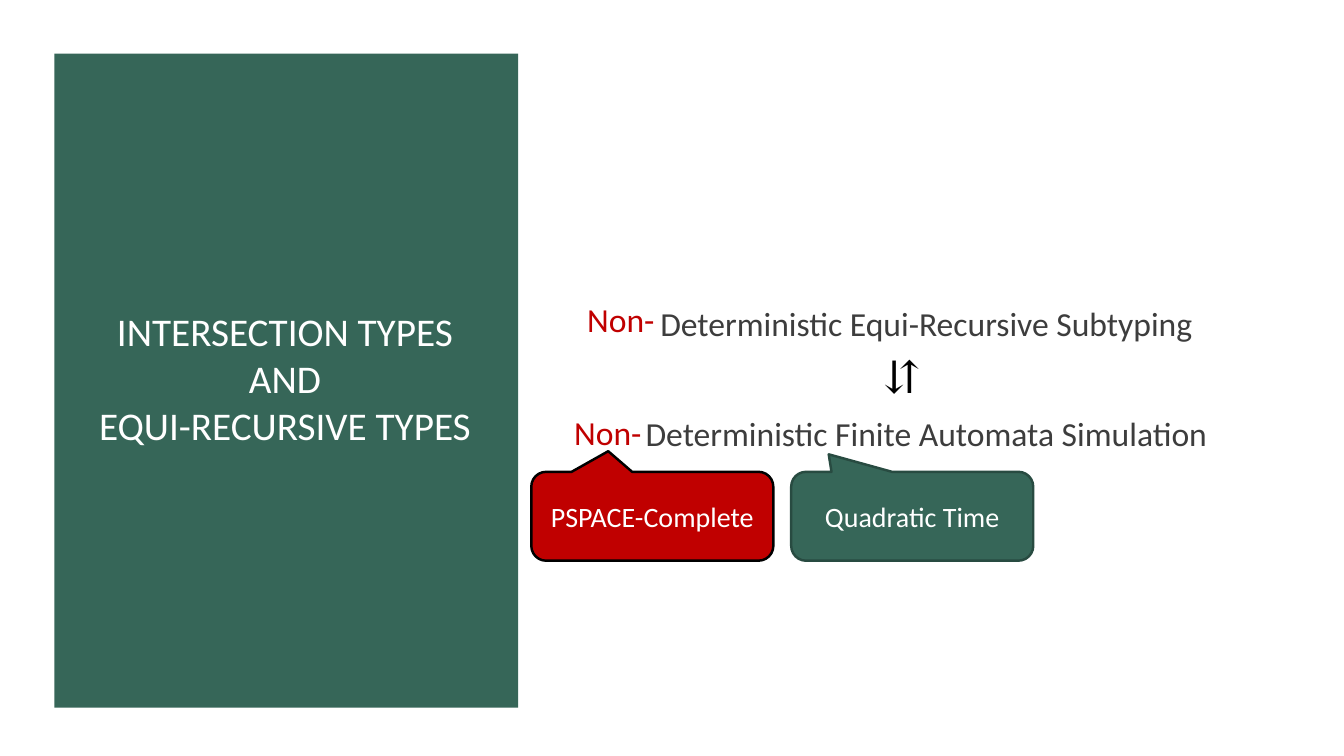
from dataclasses import dataclass

from pptx import Presentation
from pptx.dml.color import RGBColor
from pptx.enum.shapes import MSO_SHAPE
from pptx.enum.text import MSO_ANCHOR, PP_ALIGN
from pptx.util import Cm, Pt


@dataclass(frozen=True)
class Theme:
    font: str = "Calibri"
    symbol_font: str = "Cambria"
    green: str = "366658"
    dark_green: str = "284B41"
    red: str = "C00000"
    black: str = "000000"
    white: str = "FFFFFF"
    text: str = "3D3D3D"
    title_size: int = 28
    body_size: int = 24
    callout_size: int = 20
    symbol_size: int = 32


THEME = Theme()


def rgb(value):
    return RGBColor.from_string(value)


def write(frame, lines, size, color, font=THEME.font,
          align=PP_ALIGN.CENTER, anchor=MSO_ANCHOR.MIDDLE, gap=0):
    """Fill a text frame with one paragraph per line, set apart by gap points."""
    frame.word_wrap = True
    frame.vertical_anchor = anchor
    for i, line in enumerate(lines):
        paragraph = frame.add_paragraph() if i else frame.paragraphs[0]
        paragraph.text = line
        paragraph.alignment = align
        paragraph.space_before = Pt(gap if i else 0)
        for run in paragraph.runs:
            run.font.name = font
            run.font.size = Pt(size)
            run.font.color.rgb = rgb(color)


def add_text(slide, box, lines, size, color, **style):
    shape = slide.shapes.add_textbox(*map(Cm, box))
    write(shape.text_frame, lines, size, color, **style)
    return shape


def add_filled(slide, kind, box, fill, line=None):
    shape = slide.shapes.add_shape(kind, *map(Cm, box))
    shape.shadow.inherit = False
    shape.fill.solid()
    shape.fill.fore_color.rgb = rgb(fill)
    if line:
        shape.line.color.rgb = rgb(line)
        shape.line.width = Pt(1.75)
    else:
        shape.line.fill.background()
    return shape


def add_callout(slide, left, label, fill, line, tip):
    shape = add_filled(slide, MSO_SHAPE.ROUNDED_RECTANGULAR_CALLOUT,
                       (left, 11.89, 6.1, 2.24), fill, line)
    shape.adjustments[0], shape.adjustments[1] = tip
    write(shape.text_frame, [label], THEME.callout_size, THEME.white)


def add_prefix(slide, left, top):
    add_text(slide, (left, top, 2.36, 1.27), ["Non-"], THEME.body_size,
             THEME.red, align=PP_ALIGN.LEFT, anchor=MSO_ANCHOR.TOP)


def main():
    prs = Presentation()
    prs.slide_width, prs.slide_height = Cm(33.87), Cm(19.05)
    slide = prs.slides.add_slide(prs.slide_layouts[6])

    # Title panel
    add_filled(slide, MSO_SHAPE.RECTANGLE, (1.37, 1.35, 11.69, 16.48), THEME.green)
    add_text(slide, (1.68, 3.1, 11, 12.85),
             ["INTERSECTION TYPES\vAND\vEQUI-RECURSIVE TYPES"],
             THEME.title_size, THEME.white)

    # The two equivalent problems
    add_text(slide, (14.33, 3.1, 18.03, 12.85),
             ["Deterministic Equi-Recursive Subtyping",
              "Deterministic Finite Automata Simulation"],
             THEME.body_size, THEME.text, gap=50)
    arrows = add_text(slide, (22.05, 8.71, 1.5, 1.63), ["⇆"],
                      THEME.symbol_size, THEME.black, font=THEME.symbol_font,
                      align=PP_ALIGN.LEFT, anchor=MSO_ANCHOR.TOP)
    arrows.rotation = 90

    # Non-deterministic variants
    add_prefix(slide, 14.55, 7.42)
    add_prefix(slide, 14.22, 10.26)

    # Complexity callouts
    add_callout(slide, 19.94, "Quadratic Time", THEME.green,
                THEME.dark_green, (-0.345, -0.697))
    add_callout(slide, 13.39, "PSPACE-Complete", THEME.red,
                THEME.black, (-0.182, -0.732))

    prs.save("out.pptx")


main()
